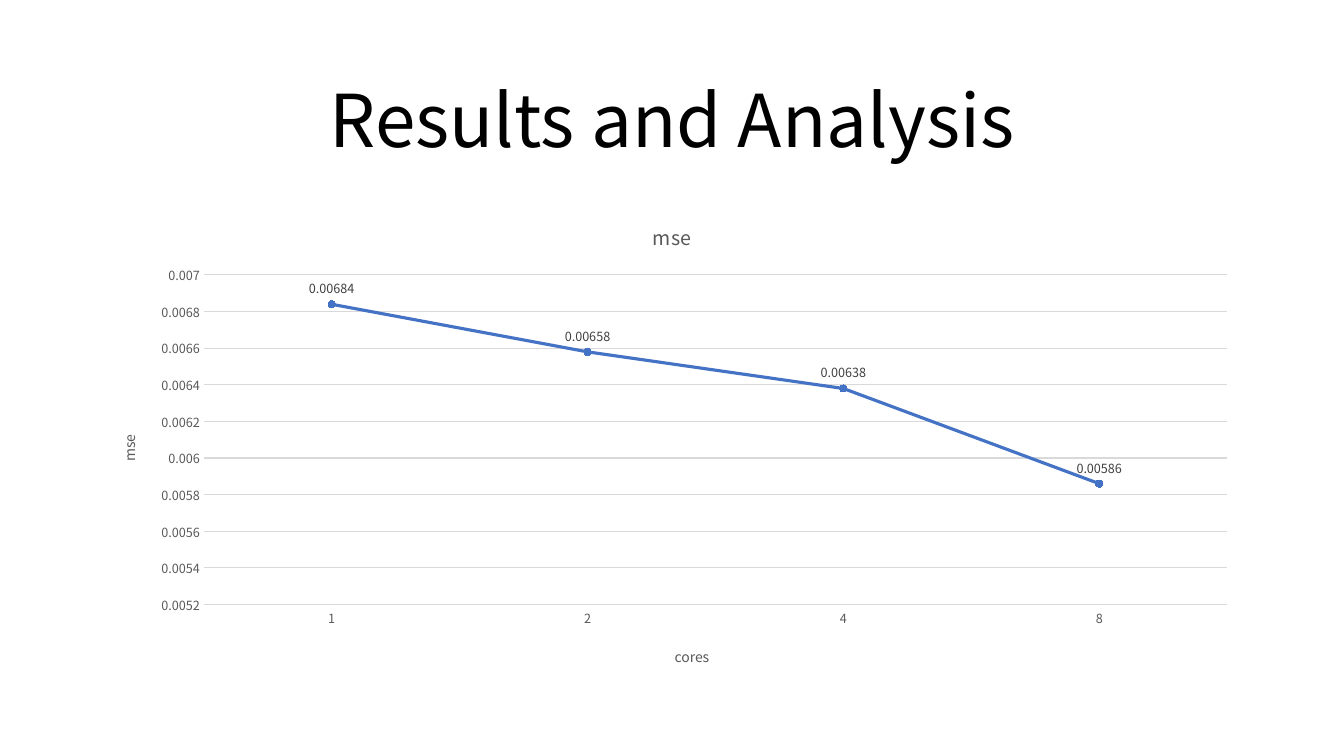
from lxml.etree import SubElement
from pptx import Presentation
from pptx.chart.data import CategoryChartData
from pptx.dml.color import RGBColor
from pptx.enum.chart import (XL_CHART_TYPE, XL_LABEL_POSITION,
                             XL_MARKER_STYLE, XL_TICK_MARK)
from pptx.enum.text import MSO_ANCHOR, PP_ALIGN
from pptx.oxml.ns import qn
from pptx.util import Cm, Pt

FONT = "Noto Sans CJK SC"
COLORS = {"black": "000000", "label": "404040", "axis": "595959",
          "grid": "D9D9D9", "series": "4472C4"}
CORES = ["1", "2", "4", "8"]
MSE = [0.00684, 0.00658, 0.00638, 0.00586]


def color(name):
    return RGBColor.from_string(COLORS[name])


def format_font(font, size, color_name):
    values = {"name": FONT, "size": Pt(size), "bold": False}
    for attribute, value in values.items():
        setattr(font, attribute, value)
    font.color.rgb = color(color_name)


def format_line(line, color_name, width):
    line.color.rgb = color(color_name)
    line.width = Pt(width)


def set_layout(parent, index, **fractions):
    """Place a chart part by fractions of the chart size."""
    for old_layout in parent.findall(qn("c:layout")):
        parent.remove(old_layout)
    layout = SubElement(parent, qn("c:layout"))
    parent.insert(index, layout)
    manual = SubElement(layout, qn("c:manualLayout"))
    settings = {"xMode": "edge", "yMode": "edge", **fractions}
    if "w" in fractions:
        settings = {"layoutTarget": "inner", **settings}
    for tag, value in settings.items():
        SubElement(manual, qn(f"c:{tag}")).set("val", str(value))


def add_title(page, text):
    box = page.shapes.title
    place = {"left": Cm(2.33), "top": Cm(1.55), "width": Cm(29.21), "height": Cm(3.15)}
    for attribute, value in place.items():
        setattr(box, attribute, value)
    box.text_frame.vertical_anchor = MSO_ANCHOR.MIDDLE
    para = box.text_frame.paragraphs[0]
    para.alignment = PP_ALIGN.CENTER
    para.line_spacing = 0.9
    span = para.add_run()
    span.text = text
    format_font(span.font, 52, "black")


def write_chart_text(text_frame, text, size):
    text_frame.text = text
    format_font(text_frame.paragraphs[0].runs[0].font, size, "axis")


def format_axis(axis, title, x, y):
    axis.major_tick_mark = axis.minor_tick_mark = XL_TICK_MARK.NONE
    format_font(axis.tick_labels.font, 9, "axis")
    write_chart_text(axis.axis_title.text_frame, title, 10)
    set_layout(axis.axis_title._element, 1, x=x, y=y)


def format_series(series):
    series.smooth = False
    format_line(series.format.line, "series", 2.25)
    marker = series.marker
    marker.style = XL_MARKER_STYLE.CIRCLE
    marker.size = 5
    marker.format.fill.solid()
    marker.format.fill.fore_color.rgb = color("series")
    format_line(marker.format.line, "series", 0.75)
    labels = series.data_labels
    values = {"show_value": True, "position": XL_LABEL_POSITION.ABOVE,
              "number_format": "General", "number_format_is_linked": False}
    for attribute, value in values.items():
        setattr(labels, attribute, value)
    format_font(labels.font, 9, "label")


def add_mse_chart(page):
    data = CategoryChartData()
    data.categories = CORES
    data.add_series("mse", MSE)
    chart = page.shapes.add_chart(XL_CHART_TYPE.LINE_MARKERS, Cm(2.33), Cm(5.08),
                                  Cm(29.21), Cm(12.09), data).chart
    format_font(chart.font, 10, "black")
    chart.has_legend = False
    write_chart_text(chart.chart_title.text_frame, "mse", 14)
    chart.plots[0].vary_by_categories = False
    format_series(chart.plots[0].series[0])

    # Axes
    format_axis(chart.category_axis, "cores", 0.5, 0.92)
    format_line(chart.category_axis.format.line, "grid", 0.75)
    value_axis = chart.value_axis
    format_axis(value_axis, "mse", 0.02, 0.48)
    scale = {"minimum_scale": 0.0052, "maximum_scale": 0.007, "major_unit": 0.0002}
    for attribute, value in scale.items():
        setattr(value_axis, attribute, value)
    value_axis.format.line.fill.background()
    format_line(value_axis.major_gridlines.format.line, "grid", 0.75)

    # Plot area
    plot_area = chart._chartSpace.find(".//" + qn("c:plotArea"))
    set_layout(plot_area, 0, x=0.096, y=0.153, w=0.883, h=0.687)


def main():
    deck = Presentation()
    deck.slide_width, deck.slide_height = Cm(33.87), Cm(19.05)
    page = deck.slides.add_slide(deck.slide_layouts[5])
    add_title(page, "Results and Analysis")
    add_mse_chart(page)
    deck.save("out.pptx")


if __name__ == "__main__":
    main()
